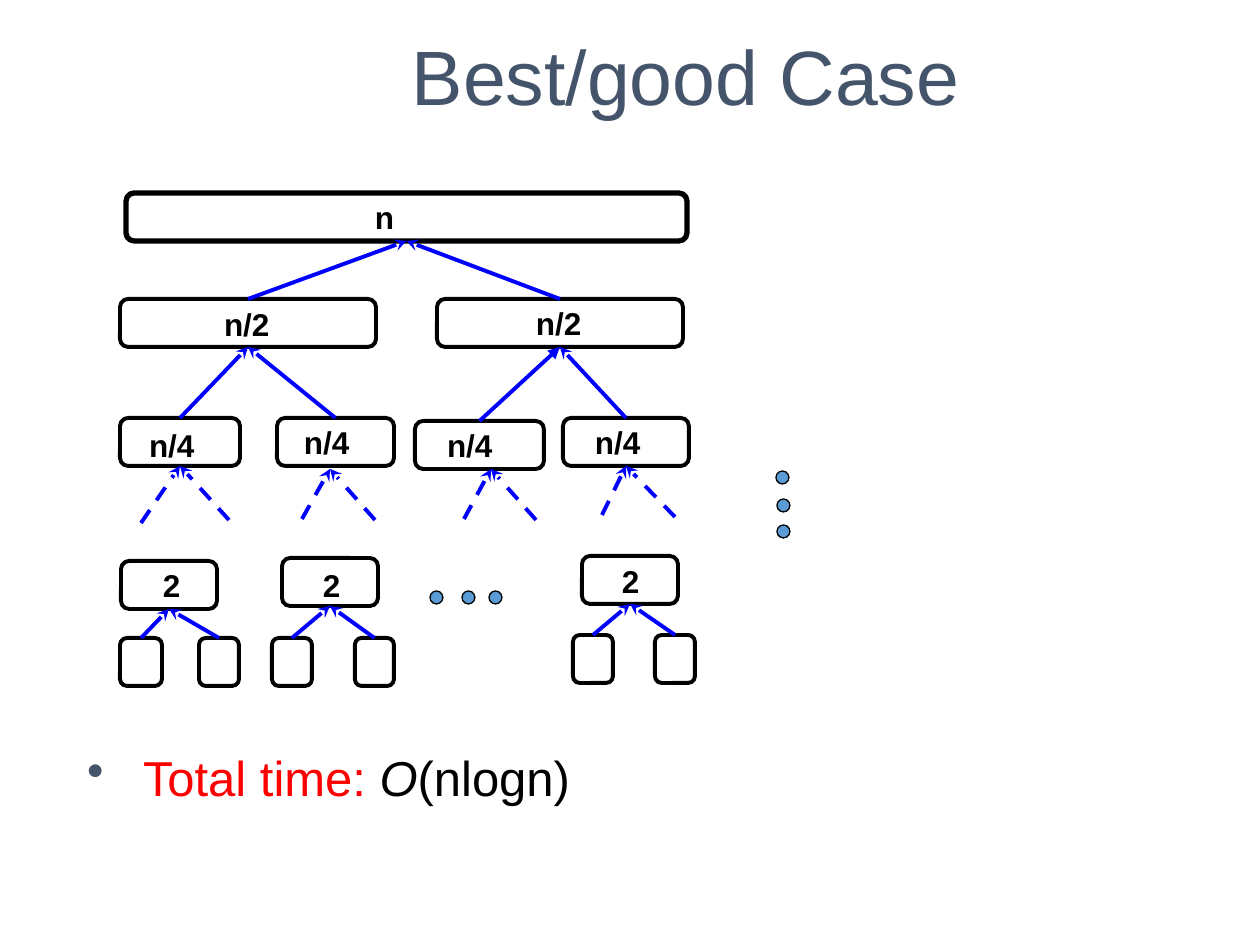
"""Draw the merge tree of the best case, with its total time."""
from dataclasses import dataclass
from typing import Any, NamedTuple, Optional

from lxml import etree
from pptx import Presentation
from pptx.dml.color import RGBColor
from pptx.enum.dml import MSO_LINE
from pptx.enum.shapes import MSO_CONNECTOR, MSO_SHAPE
from pptx.enum.text import MSO_ANCHOR, MSO_AUTO_SIZE, PP_ALIGN
from pptx.oxml.ns import qn
from pptx.util import Emu, Pt

ROUND, OVAL = MSO_SHAPE.ROUNDED_RECTANGLE, MSO_SHAPE.OVAL
LINE, DASH = MSO_CONNECTOR.STRAIGHT, MSO_LINE.DASH
MIDDLE, CENTER, FIXED = MSO_ANCHOR.MIDDLE, PP_ALIGN.CENTER, MSO_AUTO_SIZE.NONE
TOP, BOTTOM = 0, 2
SCALE = 914400 / 126


@dataclass(frozen=True)
class Theme:
    font: str = "Arial"
    ink: str = "000000"
    slate: str = "44546A"
    red: str = "FF0000"
    arrow: str = "0000FF"
    dot: str = "5B9BD5"
    head: int = 44
    body: int = 28
    label: int = 18
    thick: float = 3
    line: float = 2.25
    thin: float = 0.75


class Spot(NamedTuple):
    x: int
    y: int


class Node(NamedTuple):
    x: int
    y: int
    w: int
    text: str = ""
    label: Spot = Spot(0, 0)


class Fork(NamedTuple):
    left: Spot
    right: Spot
    tip: Optional[Spot] = None


THEME = Theme()
HIGH = 48
DOT = 13
ROOT = [Node(126, 193, 561, "n", Spot(375, 198))]
HALVES = [
    Node(120, 299, 256, "n/2", Spot(224, 305)),
    Node(437, 299, 246, "n/2", Spot(536, 304)),
]
FOURTHS = [
    Node(120, 418, 120, "n/4", Spot(149, 426)),
    Node(277, 418, 117, "n/4", Spot(304, 423)),
    Node(415, 421, 129, "n/4", Spot(447, 426)),
    Node(563, 418, 126, "n/4", Spot(595, 423)),
]
PAIRS = [
    Node(121, 561, 96, "2", Spot(163, 566)),
    Node(282, 558, 96, "2", Spot(323, 566)),
    Node(582, 556, 96, "2", Spot(622, 562)),
]
LEAVES = [
    Node(120, 638, 42), Node(199, 638, 40), Node(272, 638, 40),
    Node(355, 638, 39), Node(573, 635, 40), Node(655, 635, 40),
]
FORKS = [
    Fork(Spot(141, 523), Spot(229, 520)),
    Fork(Spot(302, 519), Spot(375, 520), Spot(330, 469)),
    Fork(Spot(464, 519), Spot(536, 520), Spot(491, 469)),
    Fork(Spot(602, 515), Spot(675, 517)),
]
DOTS = [
    Spot(776, 471), Spot(777, 499), Spot(777, 525),
    Spot(430, 591), Spot(462, 591), Spot(489, 591),
]


def px(size: float) -> Emu:
    return Emu(round(size * SCALE))


def tint(code: str) -> RGBColor:
    return RGBColor.from_string(code)


def write(para: Any, text: str, *, size: int, color: str = THEME.ink,
          bold: bool = False, slant: bool = False) -> None:
    run = para.add_run()
    run.text = text
    font = run.font
    font.name, font.size = THEME.font, Pt(size)
    font.bold, font.italic = bold, slant
    font.color.rgb = tint(color)


def inset(frame: Any, left: int, top: int, right: int, low: int) -> None:
    frame.margin_left, frame.margin_top = px(left), px(top)
    frame.margin_right, frame.margin_bottom = px(right), px(low)
    frame.word_wrap = True


def add_box(slide: Any, node: Node, width: float = THEME.line) -> Any:
    box = slide.shapes.add_shape(
        ROUND, px(node.x), px(node.y), px(node.w), px(HIGH))
    box.adjustments[0] = 0.17
    box.shadow.inherit = False
    box.fill.background()
    box.line.color.rgb = tint(THEME.ink)
    box.line.width = Pt(width)
    return box


def add_label(slide: Any, node: Node) -> None:
    box = slide.shapes.add_textbox(
        px(node.label.x), px(node.label.y), px(24 * len(node.text)), px(38))
    inset(box.text_frame, 0, 0, 0, 0)
    write(box.text_frame.paragraphs[0], node.text, size=THEME.label, bold=True)


def add_row(slide: Any, nodes: list[Node], width: float = THEME.line) -> list:
    row = [add_box(slide, node, width) for node in nodes]
    for node in nodes:
        if node.text:
            add_label(slide, node)
    return row


def add_arrow(slide: Any, start: Spot, end: Spot, tip: str = "stealth") -> Any:
    arrow = slide.shapes.add_connector(
        LINE, px(start.x), px(start.y), px(end.x), px(end.y))
    arrow.line.color.rgb = tint(THEME.arrow)
    arrow.line.width = Pt(THEME.line)
    shape = arrow.element.spPr
    etree.SubElement(shape.find(qn("a:ln")), qn("a:tailEnd"), type=tip)
    etree.SubElement(shape, qn("a:effectLst"))
    return arrow


def link(slide: Any, row: list, above: list) -> None:
    for rank, child in enumerate(row):
        tip = "triangle" if len(row) == 4 and rank == 2 else "stealth"
        arrow = add_arrow(slide, Spot(0, 0), Spot(0, 0), tip)
        arrow.begin_connect(child, TOP)
        arrow.end_connect(above[rank // 2], BOTTOM)


def add_fork(slide: Any, fork: Fork, box: Any) -> None:
    for foot in (fork.left, fork.right):
        arrow = add_arrow(slide, foot, fork.tip or foot)
        arrow.line.dash_style = DASH
        if not fork.tip:
            arrow.end_connect(box, BOTTOM)


def add_dot(slide: Any, spot: Spot) -> None:
    dot = slide.shapes.add_shape(
        OVAL, px(spot.x), px(spot.y), px(DOT), px(DOT))
    dot.shadow.inherit = False
    dot.fill.solid()
    dot.fill.fore_color.rgb = tint(THEME.dot)
    dot.line.color.rgb = tint(THEME.ink)
    dot.line.width = Pt(THEME.thin)


def add_title(slide: Any) -> None:
    title = slide.shapes.title
    title.left, title.top = px(-2), px(24)
    title.width, title.height = px(1040), px(102)
    frame = title.text_frame
    inset(frame, 349, 6, 13, 6)
    frame.auto_size, frame.vertical_anchor = FIXED, MIDDLE
    para = frame.paragraphs[0]
    para.alignment = CENTER
    write(para, "Best/good Case", size=THEME.head, color=THEME.slate)


def add_total(slide: Any) -> None:
    box = slide.shapes.add_textbox(px(74), px(741), px(974), px(131))
    inset(box.text_frame, 13, 6, 13, 6)
    para = box.text_frame.paragraphs[0]
    props = para._p.get_or_add_pPr()
    props.set("marL", str(px(56)))
    props.set("indent", str(px(-56)))
    color = etree.SubElement(props, qn("a:buClr"))
    etree.SubElement(color, qn("a:srgbClr"), val=THEME.slate)
    etree.SubElement(props, qn("a:buChar"), char="•")
    write(para, "Total time: ", size=THEME.body, color=THEME.red)
    write(para, "O", size=THEME.body, slant=True)
    write(para, "(nlogn)", size=THEME.body)


def main() -> None:
    deck = Presentation()
    deck.slide_width, deck.slide_height = px(1260), px(945)
    slide = deck.slides.add_slide(deck.slide_layouts[5])
    add_title(slide)
    root = add_row(slide, ROOT, THEME.thick)
    halves, fourths, pairs, leaves = (
        add_row(slide, row) for row in (HALVES, FOURTHS, PAIRS, LEAVES))
    for row, above in ((halves, root), (fourths, halves), (leaves, pairs)):
        link(slide, row, above)
    for fork, box in zip(FORKS, fourths):
        add_fork(slide, fork, box)
    for spot in DOTS:
        add_dot(slide, spot)
    add_total(slide)
    deck.save("out.pptx")


if __name__ == "__main__":
    main()
